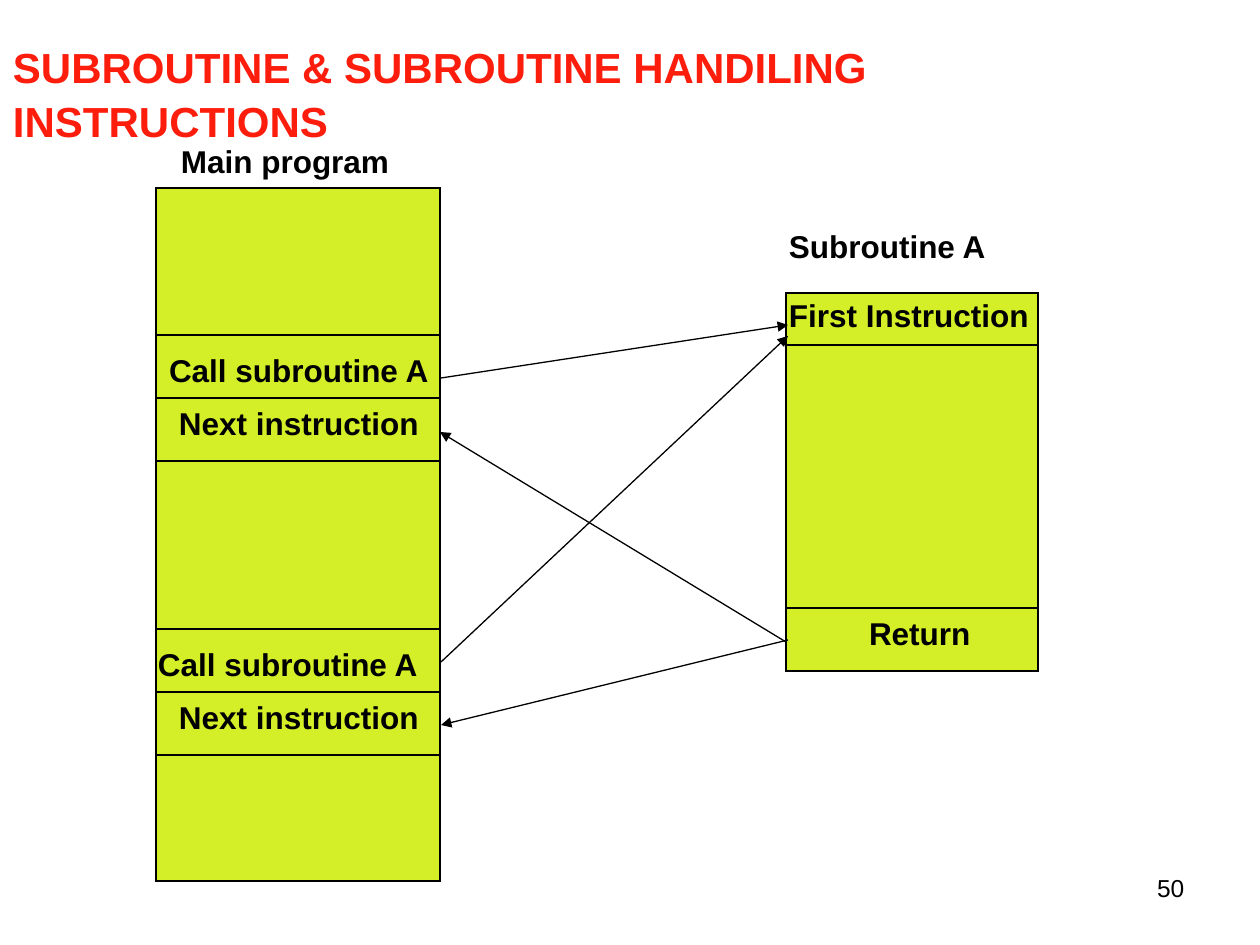
from dataclasses import dataclass
from lxml.etree import SubElement
from pptx import Presentation
from pptx.dml.color import RGBColor
from pptx.enum.shapes import MSO_CONNECTOR
from pptx.enum.text import MSO_ANCHOR
from pptx.oxml.ns import qn
from pptx.util import Pt


@dataclass(frozen=True)
class Theme:
    font: str = "Arial"
    red: str = "FC1D0C"
    ink: str = "000000"
    lime: str = "D4EE28"
    head: int = 24
    body: int = 18
    note: int = 14
    line: float = 0.75


def emu(px):
    return round(px * 914400 / 126)


class Deck:
    def __init__(self, theme):
        self.theme = theme
        self.file = Presentation()
        self.file.slide_width = emu(1260)
        self.file.slide_height = emu(945)
        self.slide = self.file.slides.add_slide(self.file.slide_layouts[6])

    def style(self, para, size, color, bold):
        font = para.font
        font.name = self.theme.font
        font.size = Pt(size)
        font.bold = bold
        font.color.rgb = RGBColor.from_string(color)

    def text(self, words, x, y, w, h, size=None, color=None, bold=True, gap=None):
        box = self.slide.shapes.add_textbox(emu(x), emu(y), emu(w), emu(h))
        frame = box.text_frame
        frame.word_wrap = True
        frame.margin_left = frame.margin_right = 0
        frame.margin_top = frame.margin_bottom = 0
        para = frame.paragraphs[0]
        para.text = words
        if gap:
            para.line_spacing = gap
        self.style(para, size or self.theme.body, color or self.theme.ink, bold)

    def edge(self, cell):
        props = cell._tc.get_or_add_tcPr()
        for at, side in enumerate(("a:lnL", "a:lnR", "a:lnT", "a:lnB")):
            line = SubElement(props, qn(side), w=str(Pt(self.theme.line)))
            fill = SubElement(line, qn("a:solidFill"))
            SubElement(fill, qn("a:srgbClr"), val=self.theme.ink)
            props.insert(at, line)

    def table(self, x, y, w, rows):
        high = sum(row[0] for row in rows)
        grid = self.slide.shapes.add_table(
            len(rows), 1, emu(x), emu(y), emu(w), emu(high)).table
        grid.first_row = grid.horz_banding = False
        grid.columns[0].width = emu(w)
        for at, (tall, words, left, top) in enumerate(rows):
            grid.rows[at].height = emu(tall)
            cell = grid.cell(at, 0)
            cell.margin_left, cell.margin_top = emu(left), emu(top)
            cell.margin_right = cell.margin_bottom = 0
            cell.vertical_anchor = MSO_ANCHOR.TOP
            cell.fill.solid()
            cell.fill.fore_color.rgb = RGBColor.from_string(self.theme.lime)
            self.edge(cell)
            para = cell.text_frame.paragraphs[0]
            para.text = words
            self.style(para, self.theme.body, self.theme.ink, True)

    def arrow(self, start, end):
        link = self.slide.shapes.add_connector(
            MSO_CONNECTOR.STRAIGHT, *map(emu, start + end))
        link.line.width = Pt(self.theme.line)
        link.line.color.rgb = RGBColor.from_string(self.theme.ink)
        SubElement(link.line._get_or_add_ln(), qn("a:tailEnd"), type="triangle")
        SubElement(link._element.spPr, qn("a:effectLst"))

    def save(self):
        self.file.save("out.pptx")


def main():
    theme = Theme()
    deck = Deck(theme)
    deck.text("SUBROUTINE & SUBROUTINE HANDILING INSTRUCTIONS",
              13, 39, 1150, 102, theme.head, theme.red, gap=1.06)

    call, step = "Call subroutine A", "Next instruction"
    after = (63, step, 23, 9)
    deck.table(156, 188, 284, [
        (147, "", 0, 0), (63, call, 13, 19), after,
        (168, "", 0, 0), (63, call, 2, 19), after, (126, "", 0, 0)])
    deck.table(786, 293, 252, [
        (52, "First Instruction", 3, 6), (263, "", 0, 0), (63, "Return", 83, 9)])

    deck.text("Main program", 181, 142, 215, 42)
    deck.text("Subroutine A", 789, 227, 205, 42)

    for start, end in (((441, 378), (788, 325)), ((786, 642), (440, 432)),
                       ((441, 662), (788, 336)), ((788, 640), (441, 725))):
        deck.arrow(start, end)

    deck.text("50", 1157, 868, 34, 32, theme.note, bold=False, gap=1.17)
    deck.save()


if __name__ == "__main__":
    main()
